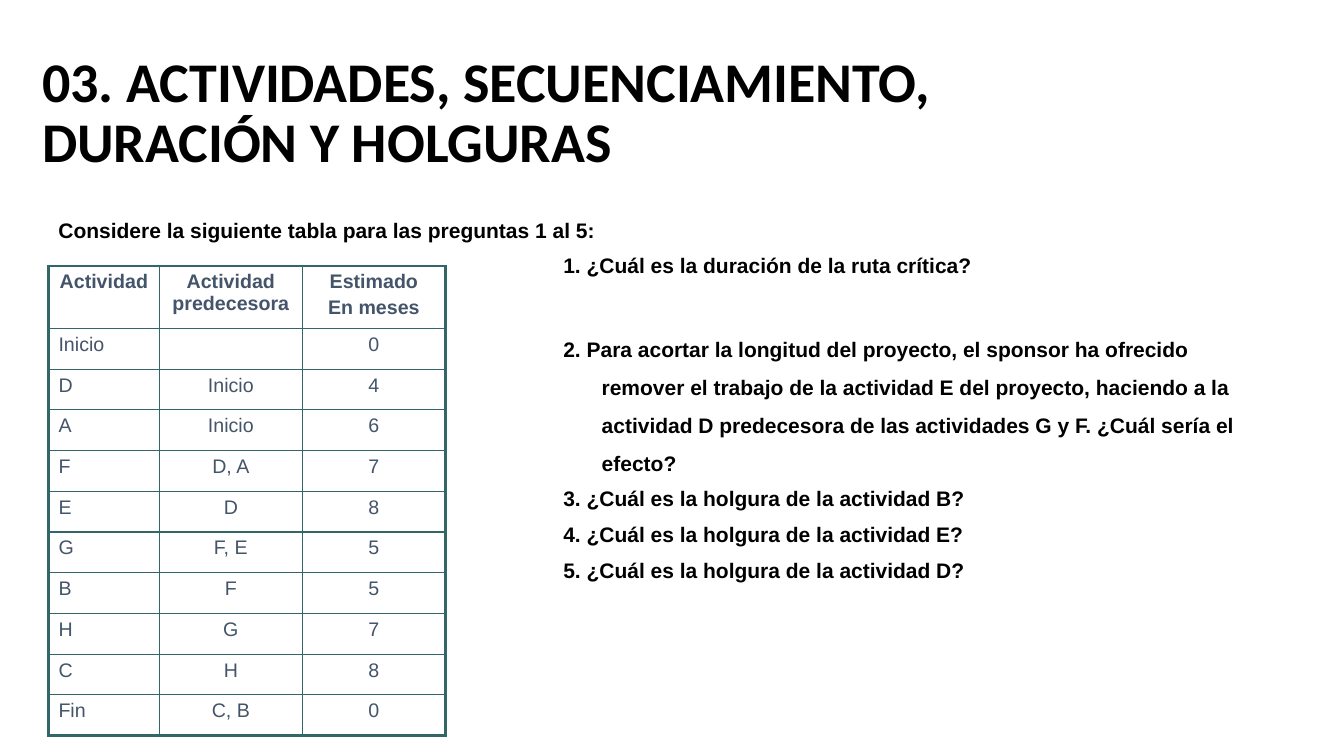
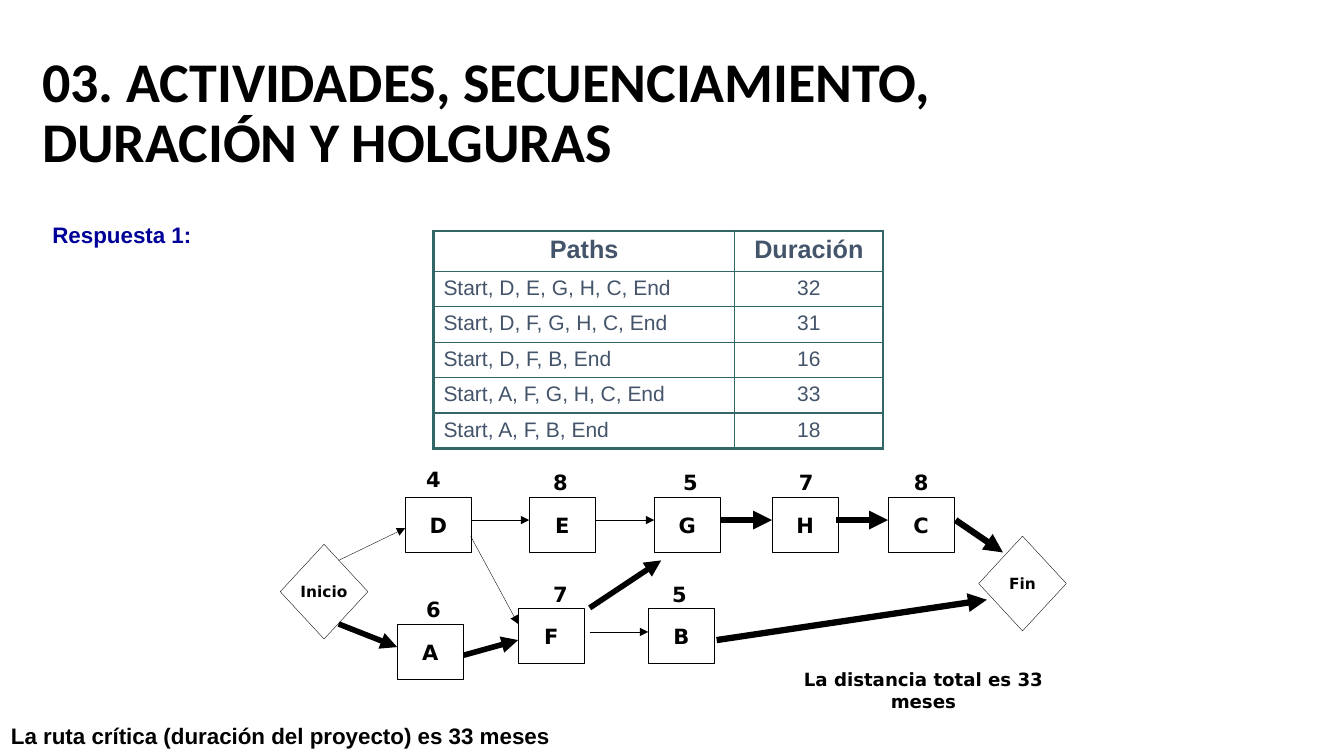
from dataclasses import dataclass
from typing import NamedTuple

from lxml.etree import SubElement
from pptx import Presentation
from pptx.dml.color import RGBColor
from pptx.enum.shapes import MSO_CONNECTOR, MSO_SHAPE
from pptx.enum.text import MSO_ANCHOR, PP_ALIGN
from pptx.oxml.ns import qn
from pptx.util import Pt

BLACK = "000000"
WHITE = "FFFFFF"
TEAL = "336666"
SLATE = "44546A"
NAVY = "000099"
BODY_FONT = "Arial"
TITLE_FONT = "Calibri"
DIAGRAM_FONT = "DejaVu Sans"
TITLE = "03. ACTIVIDADES, SECUENCIAMIENTO, DURACIÓN Y HOLGURAS"
THICK, THIN = 2.25, 1
HAIRLINE = 0.25
HANGING = 27.4


class Area(NamedTuple):
    left: float
    top: float
    width: float
    height: float


class Style(NamedTuple):
    size: float
    font: str = BODY_FONT
    color: str = BLACK
    bold: bool = True


@dataclass
class Line:
    text: str
    spacing: float = 1
    before: float = 0
    hanging: float = 0
    align: PP_ALIGN = PP_ALIGN.LEFT


@dataclass
class Grid:
    left: float
    top: float
    columns: list[float]
    header_height: float
    row_height: float
    header_size: float
    body_size: float
    rows: list[list[str]]


class Activity(NamedTuple):
    name: str
    left: float
    top: float
    months: str
    months_left: float
    months_top: float


class Milestone(NamedTuple):
    name: str
    left: float
    top: float


class Arrow(NamedTuple):
    start_x: float
    start_y: float
    end_x: float
    end_y: float
    weight: float = HAIRLINE


ACTIVITY_GRID = Grid(
    34.6, 190, [79.2, 102.2, 102.2], 44.6, 29.1, 14, 14,
    [
        ["Actividad", "Actividad predecesora", "Estimado\nEn meses"],
        ["Inicio", "", "0"],
        ["D", "Inicio", "4"],
        ["A", "Inicio", "6"],
        ["F", "D, A", "7"],
        ["E", "D", "8"],
        ["G", "F, E", "5"],
        ["B", "F", "5"],
        ["H", "G", "7"],
        ["C", "H", "8"],
        ["Fin", "C, B", "0"],
    ],
)
PATH_GRID = Grid(
    309.6, 165, [215.3, 105.8], 28.9, 25.3, 18, 15,
    [
        ["Paths", "Duración"],
        ["Start, D, E, G, H, C, End", "32"],
        ["Start, D, F, G, H, C, End", "31"],
        ["Start, D, F, B, End", "16"],
        ["Start, A, F, G, H, C, End", "33"],
        ["Start, A, F, B, End", "18"],
    ],
)
QUESTIONS = [
    Line("1. ¿Cuál es la duración de la ruta crítica?", hanging=HANGING),
    Line(
        "2. Para acortar la longitud del proyecto, el sponsor ha ofrecido "
        "remover el trabajo de la actividad E del proyecto, haciendo a la "
        "actividad D predecesora de las actividades G y F. "
        "¿Cuál sería el efecto?",
        spacing=1.5, before=33, hanging=HANGING,
    ),
] + [
    Line(f"{number}. ¿Cuál es la holgura de la actividad {name}?",
         before=7.5, hanging=HANGING)
    for number, name in ((3, "B"), (4, "E"), (5, "D"))
]
UPPER_ROW, LOWER_ROW = 355, 434.2
UPPER_MONTHS, LOWER_MONTHS = 331.9, 411.8
UPPER_FLOW = 371.5
ACTIVITIES = [
    Activity("D", 289.4, UPPER_ROW, "4", 296.6, 329.8),
    Activity("E", 378, UPPER_ROW, "8", 387.4, UPPER_MONTHS),
    Activity("G", 467.3, UPPER_ROW, "5", 480.2, UPPER_MONTHS),
    Activity("H", 551.5, UPPER_ROW, "7", 563, UPPER_MONTHS),
    Activity("C", 634.3, UPPER_ROW, "8", 645.1, UPPER_MONTHS),
    Activity("A", 283.7, 445.7, "6", 296.6, 422.6),
    Activity("F", 370.1, LOWER_ROW, "7", 387.4, LOWER_MONTHS),
    Activity("B", 463, LOWER_ROW, "5", 472.3, LOWER_MONTHS),
]
MILESTONES = [Milestone("Inicio", 200.2, 388.8), Milestone("Fin", 699.1, 383)]
ARROWS = [
    Arrow(241.9, 400.3, 289.4, 377.3),
    Arrow(241.9, 445.7, 283.7, 462.2, 4),
    Arrow(336.2, UPPER_FLOW, 378, UPPER_FLOW),
    Arrow(425.5, UPPER_FLOW, 467.3, UPPER_FLOW),
    Arrow(514.1, UPPER_FLOW, 551.5, UPPER_FLOW, 4.5),
    Arrow(596.9, UPPER_FLOW, 634.3, UPPER_FLOW, 4.5),
    Arrow(682.6, UPPER_FLOW, 716.4, 394.6, 4.5),
    Arrow(336.2, 383, 370.1, 445.7),
    Arrow(331.2, 468, 370.1, 457.2, 4),
    Arrow(421.2, 434.2, 472.3, 400.3, 4),
    Arrow(421.2, 451.4, 463, 451.4),
    Arrow(511.9, 457.2, 704.9, 428.4, 4.5),
]


def rgb(color: str) -> RGBColor:
    return RGBColor.from_string(color)


def paint(target, color: str) -> None:
    target.fill.solid()
    target.fill.fore_color.rgb = rgb(color)


def write(frame, lines: list[Line], style: Style) -> None:
    for index, line in enumerate(lines):
        para = frame.paragraphs[0] if index == 0 else frame.add_paragraph()
        para.alignment = line.align
        para.line_spacing = line.spacing
        para.space_before = Pt(line.before)
        if line.hanging:
            properties = para._p.get_or_add_pPr()
            properties.set("marL", str(Pt(line.hanging)))
            properties.set("indent", str(-Pt(line.hanging)))
        if line.text:
            span = para.add_run()
            span.text = line.text
            span.font.name = style.font
            span.font.size = Pt(style.size)
            span.font.bold = style.bold
            span.font.color.rgb = rgb(style.color)


def add_text(page, area: Area, lines: list[Line], style: Style,
             fill: str = "", wrap: bool = True,
             anchor: MSO_ANCHOR = MSO_ANCHOR.TOP) -> None:
    box = page.shapes.add_textbox(*map(Pt, area))
    if fill:
        paint(box, fill)
    box.text_frame.word_wrap = wrap
    box.text_frame.vertical_anchor = anchor
    write(box.text_frame, lines, style)


def add_node(page, kind: MSO_SHAPE, area: Area, name: str, size: float) -> None:
    node = page.shapes.add_shape(kind, *map(Pt, area))
    node.shadow.inherit = False
    paint(node, WHITE)
    node.line.color.rgb = rgb(BLACK)
    node.line.width = Pt(HAIRLINE)
    node.text_frame.word_wrap = False
    node.text_frame.vertical_anchor = MSO_ANCHOR.MIDDLE
    write(node.text_frame, [Line(name, align=PP_ALIGN.CENTER)],
          Style(size, DIAGRAM_FONT))


def add_arrow(page, arrow: Arrow) -> None:
    connector = page.shapes.add_connector(
        MSO_CONNECTOR.STRAIGHT, *map(Pt, arrow[:4]))
    connector.line.color.rgb = rgb(BLACK)
    connector.line.width = Pt(arrow.weight)
    outline = connector.line._get_or_add_ln()
    SubElement(outline, qn("a:tailEnd"), type="triangle")
    SubElement(connector._element.spPr, qn("a:effectLst"))


def add_border(cell, side: str, weight: float) -> None:
    properties = cell._tc.get_or_add_tcPr()
    border = SubElement(properties, qn(f"a:ln{side}"), w=str(Pt(weight)))
    fill = SubElement(border, qn("a:solidFill"))
    SubElement(fill, qn("a:srgbClr"), val=TEAL)


def add_grid(page, grid: Grid) -> None:
    last_row, last_column = len(grid.rows) - 1, len(grid.columns) - 1
    height = grid.header_height + last_row * grid.row_height
    table = page.shapes.add_table(
        last_row + 1, last_column + 1, Pt(grid.left), Pt(grid.top),
        Pt(sum(grid.columns)), Pt(height)).table
    table.first_row = table.horz_banding = False
    for column, width in zip(table.columns, grid.columns):
        column.width = Pt(width)
    for row, texts in enumerate(grid.rows):
        header = row == 0
        table.rows[row].height = Pt(
            grid.header_height if header else grid.row_height)
        style = Style(grid.header_size if header else grid.body_size,
                      color=SLATE, bold=header)
        for column, text in enumerate(texts):
            cell = table.cell(row, column)
            edges = {"L": column == 0, "R": column == last_column,
                     "T": header, "B": row == last_row}
            for side, outer in edges.items():
                add_border(cell, side, THICK if outer else THIN)
            paint(cell, WHITE)
            centred = header or column > 0
            align = PP_ALIGN.CENTER if centred else PP_ALIGN.LEFT
            lines = [Line(part, before=2.8 if index else 0, align=align)
                     for index, part in enumerate(text.split("\n"))]
            write(cell.text_frame, lines, style)


def add_page(deck):
    page = deck.slides.add_slide(deck.slide_layouts[6])
    add_text(page, Area(23, 29.5, 715, 104.4), [Line(TITLE, spacing=0.9)],
             Style(40, TITLE_FONT), anchor=MSO_ANCHOR.MIDDLE)
    return page


def build_questions(deck) -> None:
    page = add_page(deck)
    add_grid(page, ACTIVITY_GRID)
    heading = Line("Considere la siguiente tabla para las preguntas 1 al 5:",
                   spacing=1.3, hanging=HANGING)
    add_text(page, Area(34.6, 146.2, 567.4, 31), [heading], Style(15), WHITE)
    add_text(page, Area(395.3, 177.1, 519.1, 252.7), QUESTIONS, Style(15), WHITE)


def build_answer(deck) -> None:
    page = add_page(deck)
    for milestone in MILESTONES:
        add_node(page, MSO_SHAPE.DIAMOND,
                 Area(milestone.left, milestone.top, 62.6, 67.7),
                 milestone.name, 11)
    for activity in ACTIVITIES:
        add_node(page, MSO_SHAPE.RECTANGLE,
                 Area(activity.left, activity.top, 47.3, 39.6),
                 activity.name, 15)
        add_text(page, Area(activity.months_left, activity.months_top, 25.9, 25.2),
                 [Line(activity.months, align=PP_ALIGN.CENTER)],
                 Style(15, DIAGRAM_FONT))
    for arrow in ARROWS:
        add_arrow(page, arrow)
    add_text(page, Area(557.3, 473.8, 204.5, 38.2),
             [Line("La distancia total es 33 meses", align=PP_ALIGN.CENTER)],
             Style(13, DIAGRAM_FONT))
    add_grid(page, PATH_GRID)
    conclusion = Line("La ruta crítica (duración del proyecto) es 33 meses",
                      spacing=1.3, hanging=HANGING)
    add_text(page, Area(0.7, 506.2, 567.4, 29.5), [conclusion], Style(16), WHITE)
    add_text(page, Area(29.5, 148.3, 115.2, 32.4),
             [Line("Respuesta 1:", spacing=1.3, align=PP_ALIGN.CENTER)],
             Style(16, color=NAVY), WHITE, wrap=False)


def main() -> None:
    deck = Presentation()
    deck.slide_width, deck.slide_height = Pt(960), Pt(540)
    build_questions(deck)
    build_answer(deck)
    deck.save("out.pptx")


if __name__ == "__main__":
    main()
